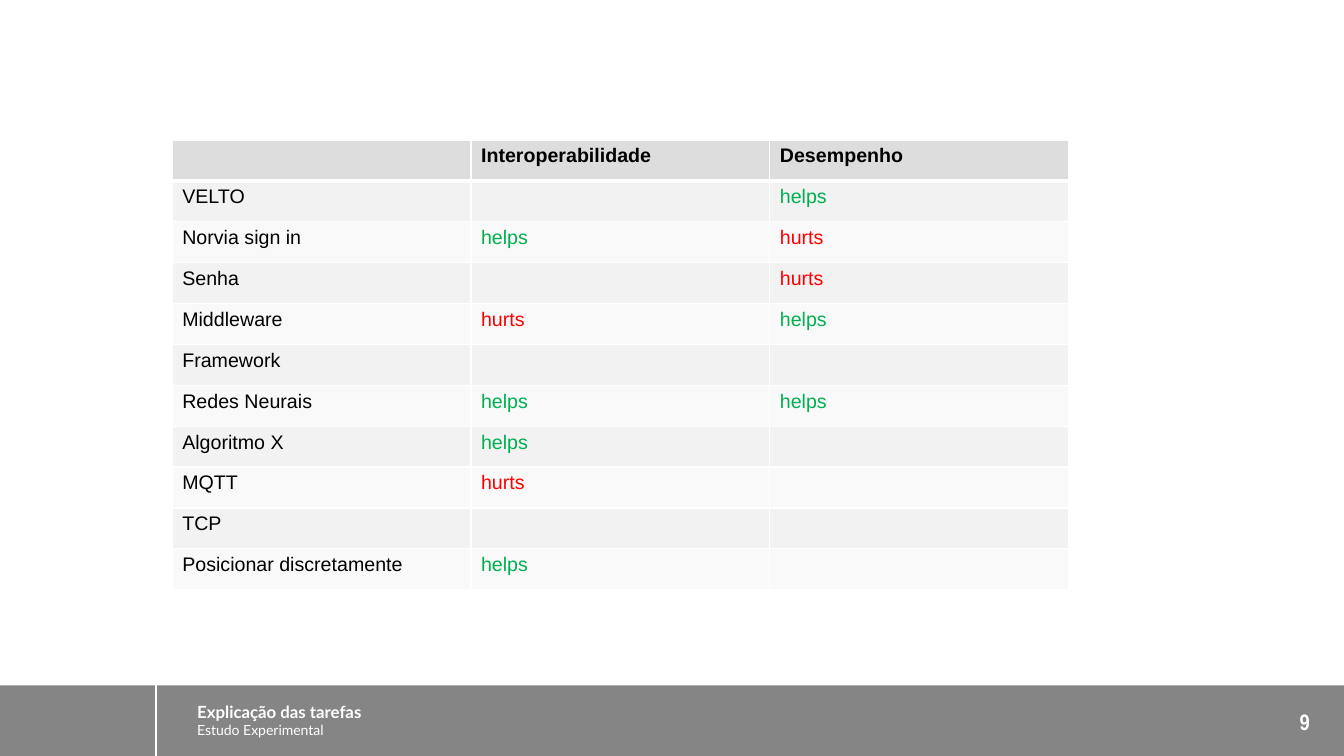
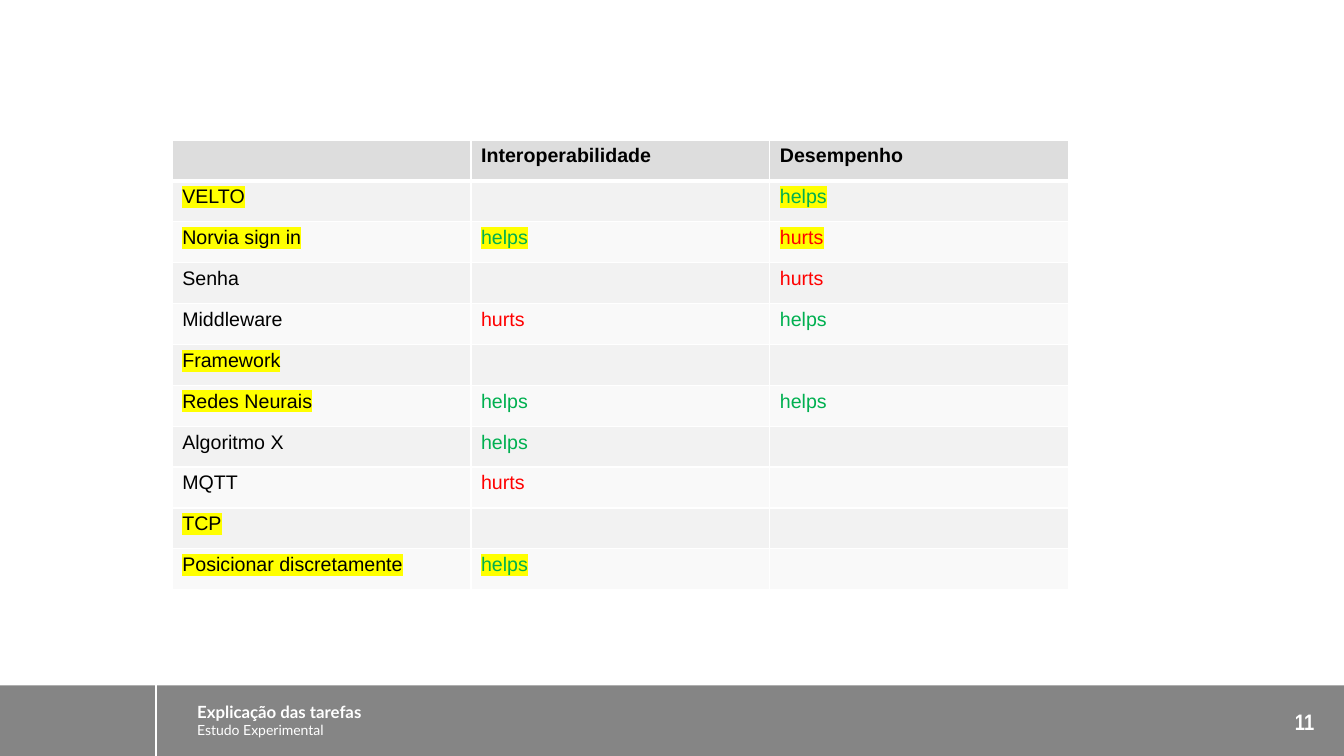
from lxml import etree
from pptx import Presentation, util as u
from pptx.dml.color import RGBColor
from pptx.enum import shapes, text
from pptx.oxml.ns import qn

COLORS = {
    "white": "FFFFFF", "black": "000000", "band": "858585",
    "header": "DDDDDD", "odd": "F2F2F2", "even": "F9F9F9",
    "helps": "00B050", "hurts": "FF0000", "marker": "FFFF00",
}
FORMATS = {
    "section": {"name": "Lato", "size": u.Pt(12), "bold": True},
    "topic": {"name": "Lato", "size": u.Pt(10), "bold": False},
    "number": {"name": "Arial Narrow", "size": u.Pt(16), "bold": True},
    "heading": {"name": "Arial", "size": u.Pt(14), "bold": True},
    "body": {"name": "Arial", "size": u.Pt(14), "bold": False},
}
WIDTH, HEIGHT = 33.87, 19.05
FOOTER_BOX = (0, 17.27, WIDTH, 1.8)
TABLE_BOX = (4.34, 3.53, 22.59, 11.33)

ROWS = [
    ("", "Interoperabilidade", "Desempenho"),
    ("VELTO", "", "helps"),
    ("Norvia sign in", "helps", "hurts"),
    ("Senha", "", "hurts"),
    ("Middleware", "hurts", "helps"),
    ("Framework", "", ""),
    ("Redes Neurais", "helps", "helps"),
    ("Algoritmo X", "helps", ""),
    ("MQTT", "hurts", ""),
    ("TCP", "", ""),
    ("Posicionar discretamente", "helps", ""),
]
# Highlighted cells as (row, column)
MARKED = {(1, 0), (1, 2), (2, 0), (2, 1), (2, 2), (5, 0), (6, 0),
          (9, 0), (10, 0), (10, 1)}
SLIDES = [("9", set()), ("11", MARKED)]


def rgb(color):
    return RGBColor.from_string(COLORS[color])


def add_run(paragraph, words, style, color):
    run = paragraph.add_run()
    run.text = words
    for attribute, value in FORMATS[style].items():
        setattr(run.font, attribute, value)
    run.font.color.rgb = rgb(color)
    return run


def highlight(run):
    fill = run._r.get_or_add_rPr().find(qn("a:solidFill"))
    marker = etree.Element(qn("a:highlight"))
    etree.SubElement(marker, qn("a:srgbClr"), val=COLORS["marker"])
    fill.addnext(marker)


def set_borders(cell, row):
    """Draw white cell edges, thicker between the heading and the body."""
    widths = {"L": 1, "R": 1, "T": 3 if row == 1 else 1, "B": 3 if row == 0 else 1}
    properties = cell._tc.get_or_add_tcPr()
    for side, points in widths.items():
        line = etree.SubElement(properties, qn(f"a:ln{side}"), w=str(u.Pt(points)))
        fill = etree.SubElement(line, qn("a:solidFill"))
        etree.SubElement(fill, qn("a:srgbClr"), val=COLORS["white"])


def add_text_box(slide, left, top, width, height):
    frame = slide.shapes.add_textbox(
        u.Cm(left), u.Cm(top), u.Cm(width), u.Cm(height)).text_frame
    frame.word_wrap = True
    return frame


def add_footer(slide, box, number):
    left, top, width, height = box
    band = slide.shapes.add_shape(
        shapes.MSO_SHAPE.RECTANGLE, *(u.Cm(length) for length in box))
    band.shadow.inherit = False
    band.fill.solid()
    band.fill.fore_color.rgb = rgb("band")
    band.line.fill.background()

    x = u.Cm(left + 3.94)
    divider = slide.shapes.add_connector(
        shapes.MSO_CONNECTOR.STRAIGHT, x, u.Cm(top), x, u.Cm(top + height))
    divider.line.color.rgb = rgb("white")
    divider.line.width = u.Pt(1.5)
    etree.SubElement(divider._element.spPr, qn("a:effectLst"))

    caption = add_text_box(slide, left + 4.72, top + 0.28, 24.41, 1.19)
    caption.auto_size = text.MSO_AUTO_SIZE.SHAPE_TO_FIT_TEXT
    add_run(caption.paragraphs[0], "Explicação das tarefas", "section", "white")
    add_run(caption.add_paragraph(), "Estudo Experimental", "topic", "white")

    page = add_text_box(slide, left + width - 1.74, top + 0.15, 1.5, 1.5)
    page.vertical_anchor = text.MSO_ANCHOR.MIDDLE
    page.paragraphs[0].alignment = text.PP_ALIGN.CENTER
    add_run(page.paragraphs[0], number, "number", "white")


def add_impact_table(slide, box, marked):
    table = slide.shapes.add_table(
        len(ROWS), len(ROWS[0]), *(u.Cm(length) for length in box)).table
    for column in table.columns:
        column.width = u.Cm(box[2] / len(ROWS[0]))
    for row in table.rows:
        row.height = u.Cm(box[3] / len(ROWS))
    for i, row in enumerate(ROWS):
        background = "header" if i == 0 else "odd" if i % 2 else "even"
        for j, words in enumerate(row):
            cell = table.cell(i, j)
            set_borders(cell, i)
            cell.fill.solid()
            cell.fill.fore_color.rgb = rgb(background)
            if words:
                color = words if words in ("helps", "hurts") else "black"
                run = add_run(cell.text_frame.paragraphs[0], words,
                              "body" if i else "heading", color)
                if (i, j) in marked:
                    highlight(run)


def main():
    presentation = Presentation()
    presentation.slide_width = u.Cm(WIDTH)
    presentation.slide_height = u.Cm(HEIGHT)
    blank_layout = presentation.slide_layouts[6]
    for number, marked in SLIDES:
        slide = presentation.slides.add_slide(blank_layout)
        add_footer(slide, FOOTER_BOX, number)
        add_impact_table(slide, TABLE_BOX, marked)
    presentation.save("out.pptx")


if __name__ == "__main__":
    main()
